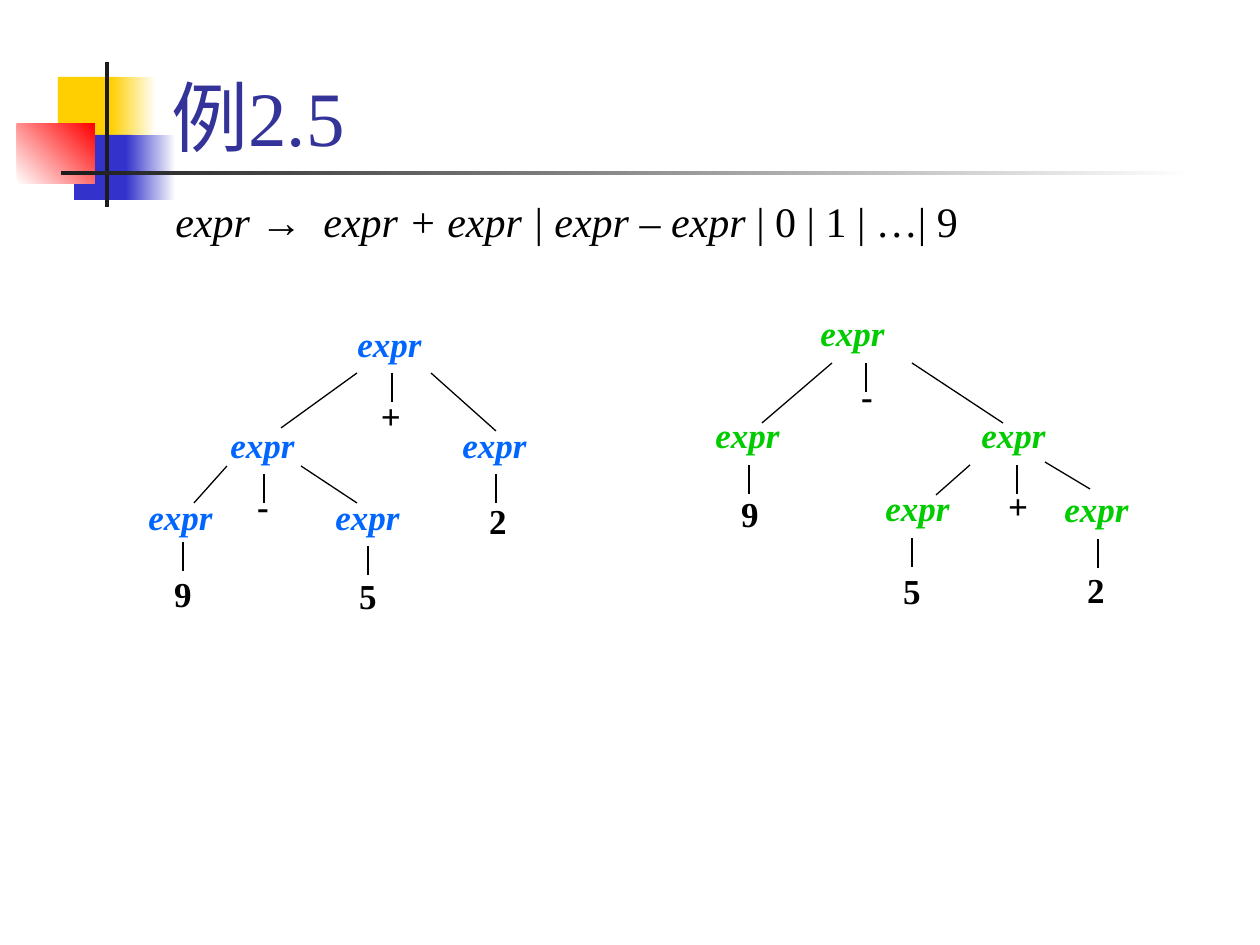
from pptx import Presentation
from pptx.dml.color import RGBColor
from pptx.enum.shapes import MSO_CONNECTOR as Connector, MSO_SHAPE as Shape
from pptx.enum.text import MSO_ANCHOR as Anchor, PP_ALIGN as Align
from pptx.oxml.ns import qn
from pptx.util import Pt
from lxml import etree

EMU_PER_PX = 914400 / 126
FONT = "Times New Roman"
BLACK = "000000"
LABEL_HEIGHT, TOKEN_WIDTH, STEM = 54, 58, 29

DECORATION = [
    ((58, 77, 60, 65), ["FFCF01"], 0),
    ((111, 77, 45, 65), ["FFCF01", "FFFFFF"], 0),
    ((74, 135, 58, 65), ["3333CC"], 0),
    ((126, 135, 50, 65), ["3333CC", "FFFFFF"], 0),
    ((17, 124, 78, 60), ["FFFFFF", "FF0000"], 45),
    ((105, 62, 4, 145), ["1C1C1C"], 0),
    ((61, 171, 1134, 4), ["1C1C1C", "FFFFFF"], 0),
]
TITLE = "例2.5"
GRAMMAR = [
    ("expr ", True),
    ("→  ", False),
    ("expr + expr | expr – expr", True),
    (" | 0 | 1 | …| 9", False),
]
TREES = [
    {
        "color": "0066FF",
        "exprs": [(136, 489, 127), (323, 489, 127), (218, 417, 127),
                  (450, 417, 127), (345, 316, 127)],
        "tokens": [("+", 362, 388), ("2", 469, 493), ("-", 234, 478),
                   ("5", 339, 568), ("9", 154, 566)],
        "stems": [(183, 542), (392, 373), (264, 474), (368, 546), (496, 474)],
        "branches": [(431, 373, 496, 431), (281, 428, 357, 373),
                     (301, 466, 357, 503), (227, 466, 194, 503)],
    },
    {
        "color": "00CC00",
        "exprs": [(1052, 481, 101), (873, 480, 102), (969, 407, 127),
                  (703, 407, 127), (808, 305, 127)],
        "tokens": [("-", 838, 368), ("9", 721, 486), ("+", 989, 478),
                   ("5", 883, 563), ("2", 1067, 562)],
        "stems": [(1098, 539), (866, 363), (1017, 465), (912, 538), (749, 465)],
        "branches": [(832, 363, 762, 423), (1003, 423, 912, 363),
                     (970, 465, 936, 495), (1090, 489, 1045, 462)],
    },
]


def px(*lengths):
    return [round(length * EMU_PER_PX) for length in lengths]


def rgb(color):
    return RGBColor.from_string(color)


def add_block(shapes, box, colors, angle):
    block = shapes.add_shape(Shape.RECTANGLE, *px(*box))
    block.shadow.inherit = False
    block.line.fill.background()
    if len(colors) == 1:
        block.fill.solid()
        block.fill.fore_color.rgb = rgb(colors[0])
        return
    block.fill.gradient()
    block.fill.gradient_angle = angle
    for stop, color in zip(block.fill.gradient_stops, colors):
        stop.color.rgb = rgb(color)


def add_text(shapes, box, runs, size, color, bold=False, align=Align.LEFT,
             anchor=Anchor.TOP):
    frame = shapes.add_textbox(*px(*box)).text_frame
    frame.word_wrap = True
    frame.vertical_anchor = anchor
    paragraph = frame.paragraphs[0]
    paragraph.alignment = align
    font = paragraph.font
    font.name, font.size, font.bold = FONT, Pt(size), bold
    font.color.rgb = rgb(color)
    for words, italic in runs:
        run = paragraph.add_run()
        run.text = words
        run.font.italic = italic


def add_line(shapes, *ends):
    line = shapes.add_connector(Connector.STRAIGHT, *px(*ends))
    line.line.color.rgb = rgb(BLACK)
    line.line.width = Pt(0.75)
    etree.SubElement(line._element.spPr, qn("a:effectLst"))


def add_tree(slide, tree):
    shapes = slide.shapes.add_group_shape().shapes
    for x, y, width in tree["exprs"]:
        add_text(shapes, (x, y, width, LABEL_HEIGHT), [("expr", True)], 20,
                 tree["color"], bold=True)
    for token, x, y in tree["tokens"]:
        add_text(shapes, (x, y, TOKEN_WIDTH, LABEL_HEIGHT), [(token, False)], 20,
                 BLACK, bold=True, align=Align.CENTER)
    for x, y in tree["stems"]:
        add_line(shapes, x, y, x, y + STEM)
    for branch in tree["branches"]:
        add_line(shapes, *branch)


def main():
    deck = Presentation()
    deck.slide_width, deck.slide_height = px(1260, 945)
    slide = deck.slides.add_slide(deck.slide_layouts[6])
    for box, colors, angle in DECORATION:
        add_block(slide.shapes, box, colors, angle)
    add_text(slide.shapes, (159, 10, 1074, 158), [(TITLE, False)], 44, "333399",
             anchor=Anchor.BOTTOM)
    for tree in TREES:
        add_tree(slide, tree)
    add_text(slide.shapes, (163, 189, 1071, 651), GRAMMAR, 24, BLACK)
    deck.save("out.pptx")


if __name__ == "__main__":
    main()
